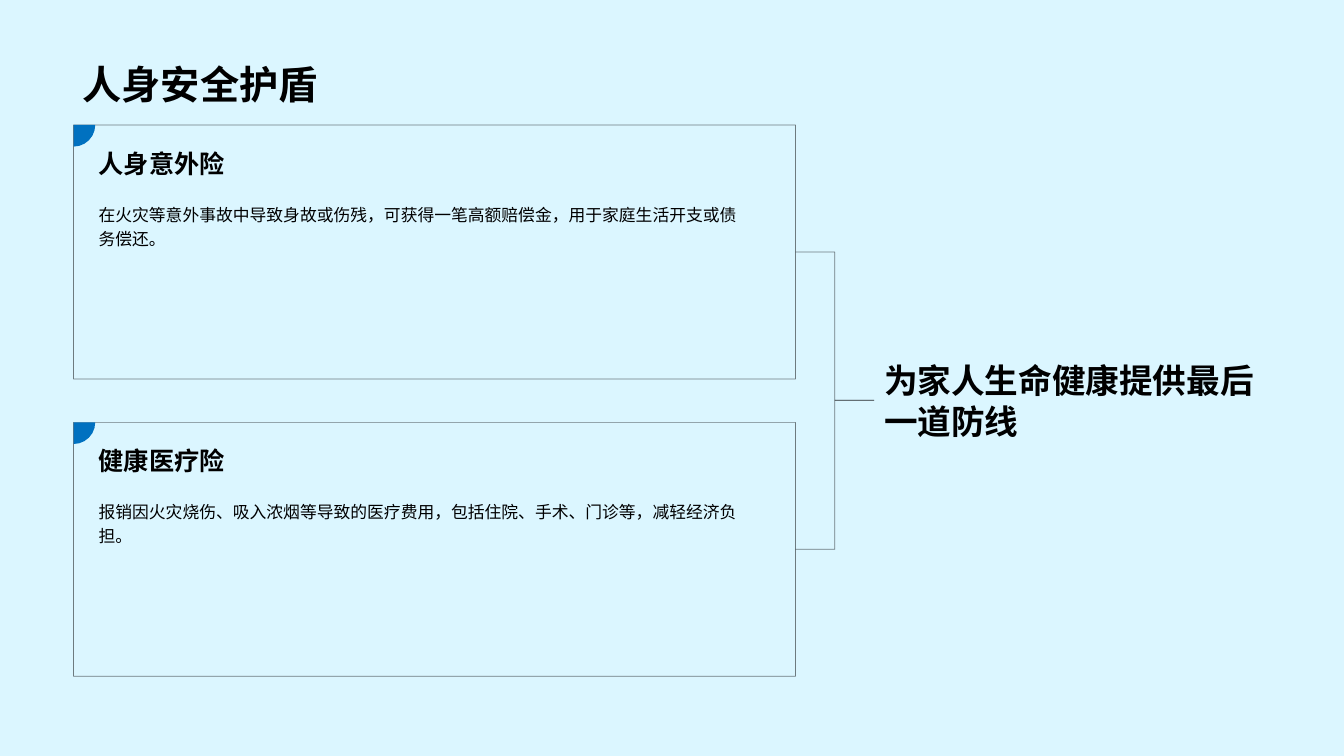
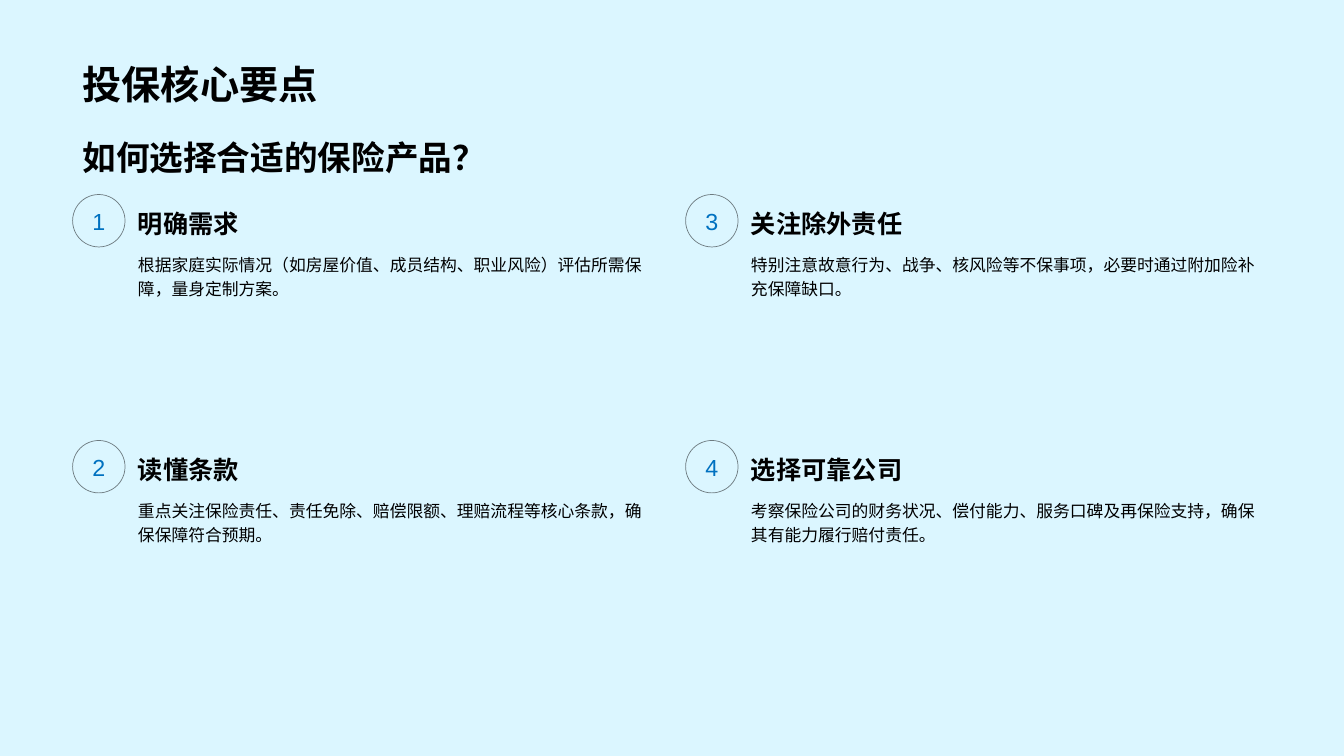
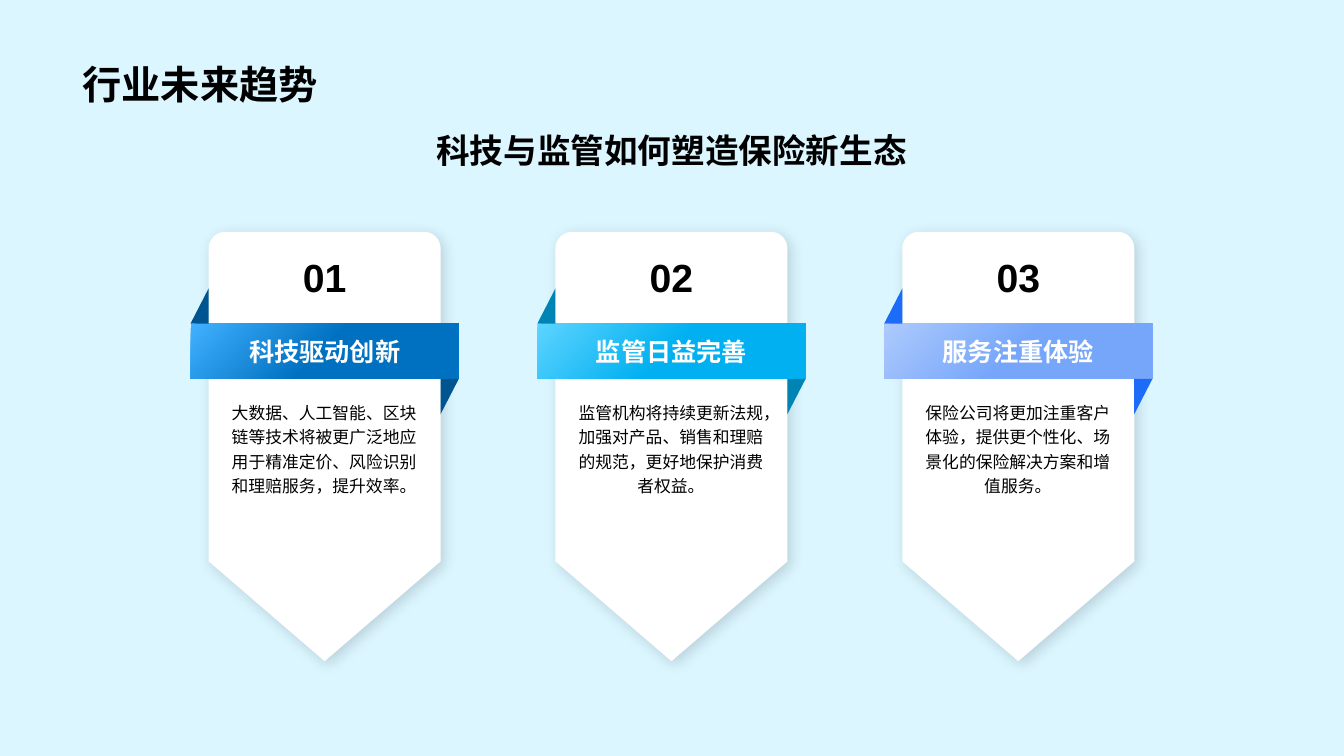
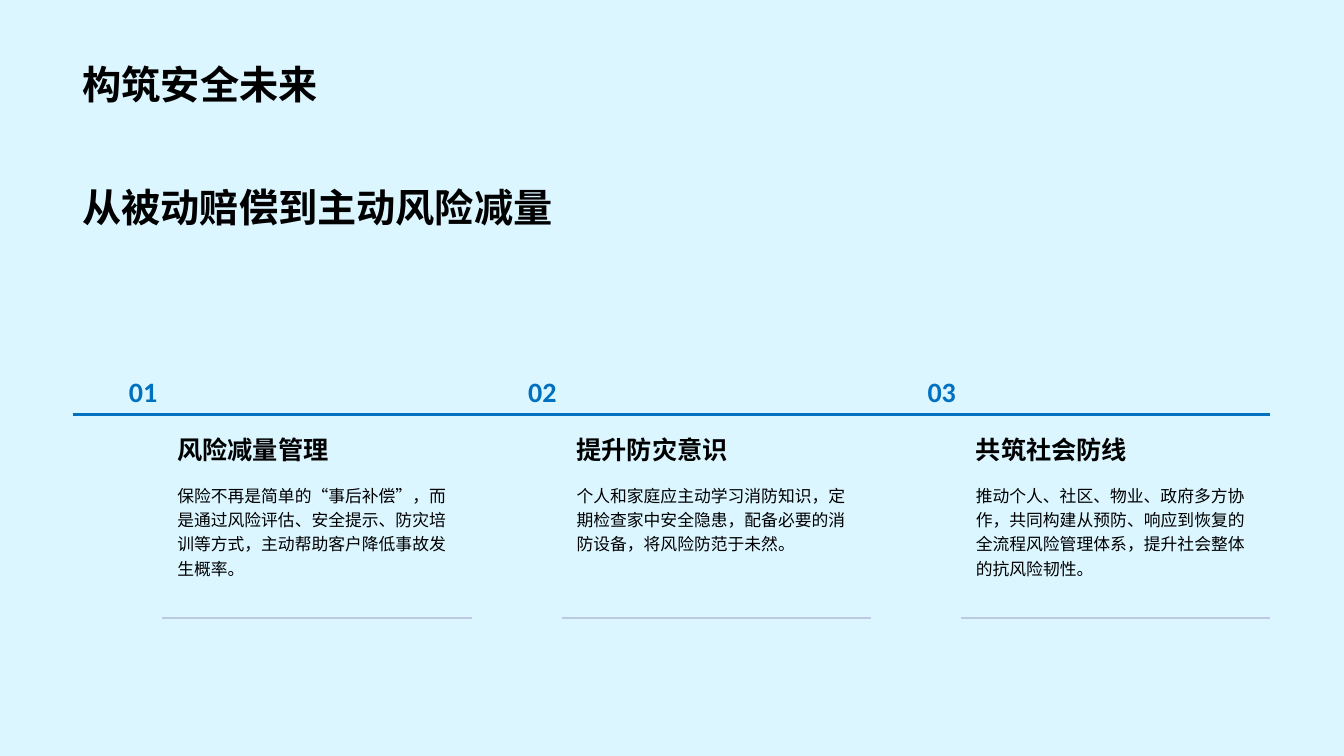
from math import cos, pi, sin

from lxml.etree import SubElement
from pptx import Presentation
from pptx.dml.color import RGBColor
from pptx.enum.shapes import MSO_CONNECTOR as CONN, MSO_SHAPE as SHAPE
from pptx.enum.text import MSO_ANCHOR as ANCHOR, MSO_AUTO_SIZE as AUTO, PP_ALIGN as ALIGN
from pptx.oxml.ns import qn
from pptx.util import Inches, Pt

COLORS = {
    "background": "DBF6FF",
    "ink": "000000",
    "white": "FFFFFF",
    "accent": "0071C0",
    "rule": "BDC9E2",
}
RIBBONS = [  # gradient start, gradient end, fold
    ("40B0FF", "0071C0", "005590"),
    ("5DD4FF", "00B0F0", "0084B4"),
    ("ADCAFC", "76A6FA", "1D6CF7"),
]
FONT = "Arial"
LEFT, TOP, WIDTH = 0.72, 1.24, 11.88


def rgb(value):
    return RGBColor.from_string(COLORS.get(value, value))


def inches(*values):
    return [Inches(v) for v in values]


def setup_template(prs):
    """Put the background and title style on the master; return the title layout."""
    master = prs.slide_master
    fill = master.background.fill
    fill.solid()
    fill.fore_color.rgb = rgb("background")
    level = master.element.find(".//" + qn("p:titleStyle")).find(qn("a:lvl1pPr"))
    level.set("algn", "l")
    run_style = level.find(qn("a:defRPr"))
    run_style.set("sz", "2800")
    run_style.set("b", "1")
    run_style.find(qn("a:latin")).set("typeface", FONT)
    layout = prs.slide_layouts[5]
    title = layout.placeholders[0]
    title.left, title.top, title.width, title.height = inches(LEFT, 0.14, WIDTH, 0.98)
    title.text_frame.vertical_anchor = ANCHOR.BOTTOM
    title.text_frame.auto_size = AUTO.NONE
    return layout


def add_slide(prs, layout, title):
    slide = prs.slides.add_slide(layout)
    slide.shapes.title.text = title
    return slide


def write(sp, text, size, color="ink", bold=False, align=ALIGN.LEFT,
          anchor=ANCHOR.MIDDLE, spacing=None, wrap=True, font=FONT):
    tf = sp.text_frame
    tf.word_wrap = wrap
    tf.vertical_anchor = anchor
    p = tf.paragraphs[0]
    p.text = text
    p.alignment = align
    if spacing:
        p.line_spacing = spacing
    p.font.name, p.font.size, p.font.bold = font, Pt(size), bold
    p.font.color.rgb = rgb(color)


def add_text(slide, box, text, size, **style):
    sp = slide.shapes.add_textbox(*inches(*box))
    write(sp, text, size, **style)
    return sp


def add_heading(slide, box, text, **style):
    add_text(slide, box, text, 18, bold=True, **style)


def add_body(slide, box, text, align=ALIGN.LEFT):
    add_text(slide, box, text, 12, align=align, anchor=ANCHOR.TOP, spacing=1.2)


def set_fill(sp, color):
    sp.shadow.inherit = False
    sp.line.fill.background()
    sp.fill.solid()
    sp.fill.fore_color.rgb = rgb(color)


def set_thin_line(sp):
    """Half-transparent hairline."""
    sp.line.width = Pt(0.5)
    sp.line.color.rgb = rgb("ink")
    color = sp.line._get_or_add_ln().find(".//" + qn("a:srgbClr"))
    SubElement(color, qn("a:alpha"), val="50000")


def add_outline(slide, kind, box):
    sp = slide.shapes.add_shape(kind, *inches(*box))
    sp.shadow.inherit = False
    sp.fill.background()
    set_thin_line(sp)
    return sp


def add_line(slide, kind, *ends):
    line = slide.shapes.add_connector(kind, *inches(*ends))
    SubElement(line._element.spPr, qn("a:effectLst"))
    return line


def add_rule(slide, x1, x2, y, color, width):
    line = add_line(slide, CONN.STRAIGHT, x1, y, x2, y)
    line.line.color.rgb = rgb(color)
    line.line.width = Pt(width)


def add_outline_path(slide, contours, color):
    """Filled freeform made of closed contours of (x, y) points in inches."""
    contours = [[inches(*pt) for pt in contour] for contour in contours]
    fb = slide.shapes.build_freeform(*contours[0][0])
    for i, contour in enumerate(contours):
        if i:
            fb.move_to(*contour[0])
        fb.add_line_segments(contour[1:], close=True)
    sp = fb.convert_to_shape()
    set_fill(sp, color)
    return sp


def add_soft_shadow(sp):
    effects = sp._element.spPr.find(qn("a:effectLst"))
    shadow = SubElement(effects, qn("a:outerShdw"), blurRad=str(Pt(10)), dist=str(Pt(3)),
                        dir=str(45 * 60000), algn="tl", rotWithShape="0")
    color = SubElement(shadow, qn("a:srgbClr"), val=COLORS["ink"])
    SubElement(color, qn("a:alpha"), val="15000")


def arc(cx, cy, radius, start, steps=12):
    """Points of a quarter circle, clockwise on the slide from the start angle."""
    angles = [start + pi / 2 * i / steps for i in range(steps + 1)]
    return [(cx + radius * cos(a), cy + radius * sin(a)) for a in angles]


def add_cover_card(slide, y, heading, body, hub):
    width, height, radius = 7.16, 2.52, 0.215
    x = LEFT + 0.01
    add_line(slide, CONN.ELBOW, x + width, y + height / 2, *hub)
    set_thin_line(slide.shapes[-1])
    add_outline(slide, SHAPE.RECTANGLE, (x, y, width, height))
    add_body(slide, (x + 0.15, y + 0.7, 6.57, 1.68), body)
    add_heading(slide, (x + 0.15, y + 0.11, 6.57, 0.48), heading, spacing=1.2)
    corner = slide.shapes.add_shape(
        SHAPE.PIE, *inches(x - radius, y - radius, 2 * radius, 2 * radius))
    corner.adjustments[0], corner.adjustments[1] = 0, 54
    set_fill(corner, "accent")


def add_numbered_point(slide, x, y, number, heading, body):
    size = 0.52
    circle = add_outline(slide, SHAPE.OVAL, (x, y, size, size))
    write(circle, str(number), 16.6, color="accent", align=ALIGN.CENTER, wrap=False)
    add_heading(slide, (x + 0.55, y, 5.25, size), heading, spacing=1.2)
    add_body(slide, (x + 0.55, y + 0.51, 5.25, 1.83), body)


def add_trend_badge(slide, x, number, heading, body, ribbon_colors):
    width, y, shoulder, tip, radius, overhang = 2.3, 2.3, 5.57, 6.56, 0.165, 0.18
    ribbon_top, ribbon_height, fold = 3.21, 0.55, 0.35
    right, ribbon_bottom = x + width, ribbon_top + ribbon_height
    start, end, fold_color = ribbon_colors

    card = add_outline_path(slide, [
        [(x + width / 2, tip), (x, shoulder)]
        + arc(x + radius, y + radius, radius, pi)
        + arc(right - radius, y + radius, radius, 1.5 * pi)
        + [(right, shoulder)]], "white")
    add_soft_shadow(card)

    ribbon = slide.shapes.add_shape(SHAPE.RECTANGLE, *inches(
        x - overhang, ribbon_top, width + 2 * overhang, ribbon_height))
    ribbon.shadow.inherit = False
    ribbon.line.fill.background()
    ribbon.fill.gradient()
    ribbon.fill.gradient_angle = 315
    for stop, color, position in zip(ribbon.fill.gradient_stops, (start, end), (0, 0.5)):
        stop.color.rgb = rgb(color)
        stop.position = position
    write(ribbon, heading, 18, color="white", bold=True, align=ALIGN.CENTER)

    add_outline_path(slide, [
        [(right, ribbon_bottom), (right + overhang, ribbon_bottom),
         (right, ribbon_bottom + fold)],
        [(x, ribbon_top - fold), (x, ribbon_top), (x - overhang, ribbon_top)],
    ], fold_color)
    add_text(slide, (x + 0.76, 2.4, 0.78, 0.7), f"{number:02}", 28, bold=True,
             align=ALIGN.CENTER, wrap=False)
    add_body(slide, (x + 0.09, 3.91, 2.11, 1.64), body, align=ALIGN.CENTER)


def add_timeline_step(slide, x, pitch, number, heading, body):
    right, text_x, text_width = x + pitch, x + 0.94, 3.02
    add_rule(slide, x, right, 4.11, "accent", 2)
    add_rule(slide, x + 0.89, right, 6.13, "rule", 1)
    add_heading(slide, (text_x, 4.09, text_width, 0.57), heading, anchor=ANCHOR.BOTTOM)
    add_body(slide, (text_x, 4.73, text_width, 1.38), body)
    label = add_text(slide, (x + 0.43, 3.66, 0.51, 0.44), f"{number:02}", 20,
                     color="accent", bold=True, align=ALIGN.RIGHT,
                     anchor=ANCHOR.BOTTOM, wrap=False, font="Calibri")
    label.text_frame.auto_size = AUTO.SHAPE_TO_FIT_TEXT


def build_protection(slide):
    cards = [
        ("人身意外险", "在火灾等意外事故中导致身故或伤残，可获得一笔高额赔偿金，用于家庭生活开支或债务偿还。"),
        ("健康医疗险", "报销因火灾烧伤、吸入浓烟等导致的医疗费用，包括住院、手术、门诊等，减轻经济负担。"),
    ]
    hub = (8.67, 3.97)
    for i, (heading, body) in enumerate(cards):
        add_cover_card(slide, TOP + 2.95 * i, heading, body, hub)
    add_text(slide, (hub[0], TOP, 3.92, 5.47), "为家人生命健康提供最后一道防线", 24, bold=True)


def build_key_points(slide):
    points = [
        ("明确需求", "根据家庭实际情况（如房屋价值、成员结构、职业风险）评估所需保障，量身定制方案。"),
        ("读懂条款", "重点关注保险责任、责任免除、赔偿限额、理赔流程等核心条款，确保保障符合预期。"),
        ("关注除外责任", "特别注意故意行为、战争、核风险等不保事项，必要时通过附加险补充保障缺口。"),
        ("选择可靠公司", "考察保险公司的财务状况、偿付能力、服务口碑及再保险支持，确保其有能力履行赔付责任。"),
    ]
    add_text(slide, (LEFT, TOP, WIDTH, 0.64), "如何选择合适的保险产品？", 24, bold=True)
    for i, (heading, body) in enumerate(points):
        col, row = divmod(i, 2)
        add_numbered_point(slide, LEFT + 6.08 * col, 1.93 + 2.44 * row, i + 1, heading, body)


def build_trends(slide):
    trends = [
        ("科技驱动创新", "大数据、人工智能、区块链等技术将被更广泛地应用于精准定价、风险识别和理赔服务，提升效率。"),
        ("监管日益完善", "监管机构将持续更新法规，加强对产品、销售和理赔的规范，更好地保护消费者权益。"),
        ("服务注重体验", "保险公司将更加注重客户体验，提供更个性化、场景化的保险解决方案和增值服务。"),
    ]
    for i, ((heading, body), colors) in enumerate(zip(trends, RIBBONS)):
        add_trend_badge(slide, 2.07 + 3.44 * i, i + 1, heading, body, colors)
    add_text(slide, (LEFT, TOP, WIDTH, 0.6), "科技与监管如何塑造保险新生态", 24, bold=True,
             align=ALIGN.CENTER, anchor=ANCHOR.TOP)


def build_future(slide):
    steps = [
        ("风险减量管理", "保险不再是简单的“事后补偿”，而是通过风险评估、安全提示、防灾培训等方式，主动帮助客户降低事故发生概率。"),
        ("提升防灾意识", "个人和家庭应主动学习消防知识，定期检查家中安全隐患，配备必要的消防设备，将风险防范于未然。"),
        ("共筑社会防线", "推动个人、社区、物业、政府多方协作，共同构建从预防、响应到恢复的全流程风险管理体系，提升社会整体的抗风险韧性。"),
    ]
    add_text(slide, (LEFT, 1.12, 6.93, 1.21), "从被动赔偿到主动风险减量", 28, bold=True,
             anchor=ANCHOR.BOTTOM)
    pitch = WIDTH / len(steps)
    for i, (heading, body) in enumerate(steps):
        add_timeline_step(slide, LEFT + pitch * i, pitch, i + 1, heading, body)


def main():
    prs = Presentation()
    prs.slide_width, prs.slide_height = inches(13.33, 7.5)
    layout = setup_template(prs)
    for title, build in [
        ("人身安全护盾", build_protection),
        ("投保核心要点", build_key_points),
        ("行业未来趋势", build_trends),
        ("构筑安全未来", build_future),
    ]:
        build(add_slide(prs, layout, title))
    prs.save("out.pptx")


if __name__ == "__main__":
    main()
